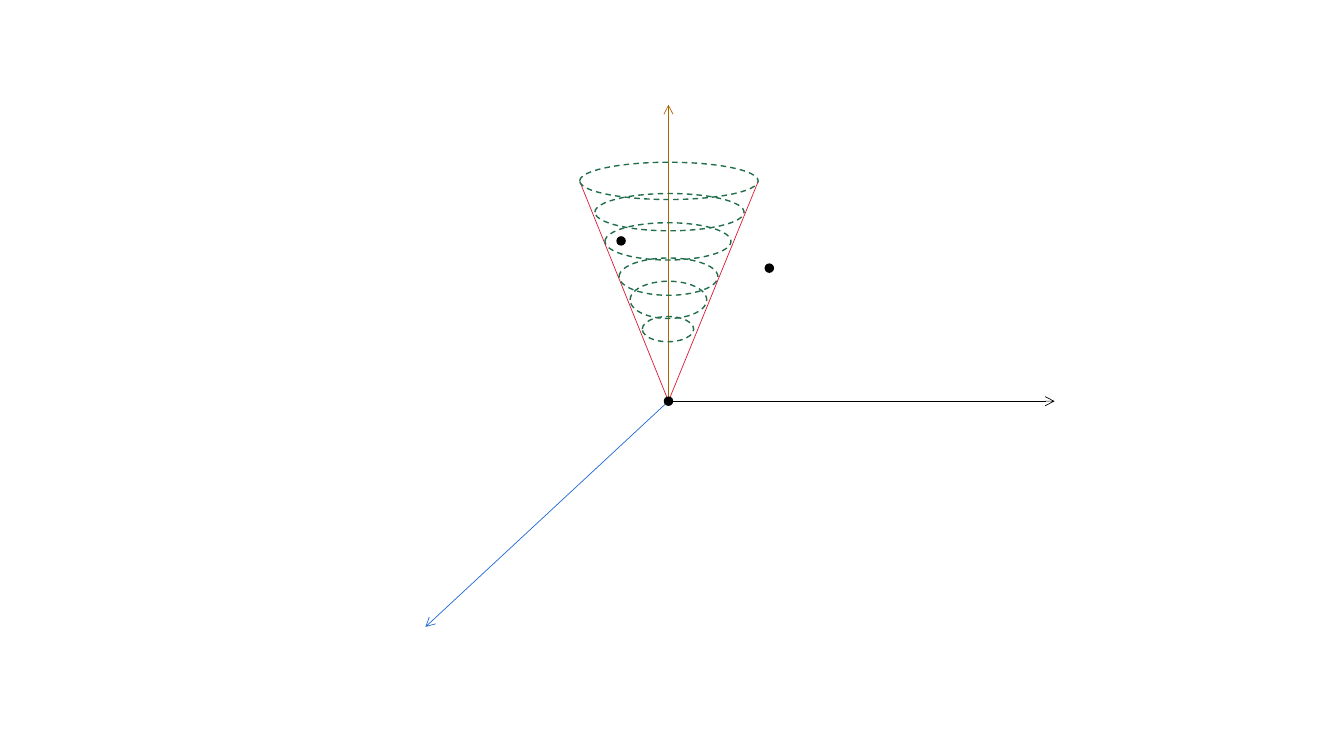
"""Build a slide with a dashed cone on three coordinate axes and three points."""
from lxml import etree
from pptx import Presentation
from pptx import util as u
from pptx.dml.color import RGBColor
from pptx.enum import dml, shapes
from pptx.oxml import ns

PX = u.Inches(1) // 100
BLACK = RGBColor(0x00, 0x00, 0x00)
GREEN = RGBColor(0x22, 0x6E, 0x4B)
ORANGE = RGBColor(0xAA, 0x65, 0x00)
BLUE = RGBColor(0x21, 0x69, 0xD3)
RED = RGBColor(0xDE, 0x1A, 0x37)
ORIGIN = (663, 398)
DOT = 8


def draw_line(page, end, color, arrow=False):
    """Draw a thin line from the origin to the end point."""
    points = [value * PX for value in (*ORIGIN, *end)]
    line = page.shapes.add_connector(shapes.MSO_CONNECTOR.STRAIGHT, *points)
    line.line.color.rgb = color
    line.line.width = u.Pt(0.5)
    if arrow:
        etree.SubElement(line.line._get_or_add_ln(), ns.qn("a:tailEnd"), type="arrow")
    etree.SubElement(line._element.spPr, ns.qn("a:effectLst"))


def draw_ellipse(page, left, top, width, height, color, filled=False):
    """Draw a solid dot or a dashed ring."""
    area = [value * PX for value in (left, top, width, height)]
    ellipse = page.shapes.add_shape(shapes.MSO_SHAPE.OVAL, *area)
    ellipse.shadow.inherit = False
    ellipse.line.color.rgb = color
    ellipse.line.width = u.Pt(1)
    if filled:
        ellipse.fill.solid()
        ellipse.fill.fore_color.rgb = color
    else:
        ellipse.fill.background()
        ellipse.line.dash_style = dml.MSO_LINE.DASH


deck = Presentation()
deck.slide_width = u.Inches(13.33)
deck.slide_height = u.Inches(7.5)
page = deck.slides.add_slide(deck.slide_layouts[6])

for end, color in [((1046, 398), BLACK), ((663, 104), ORANGE), ((422, 622), BLUE)]:
    draw_line(page, end, color, arrow=True)

for end in [(575, 180), (752, 180)]:
    draw_line(page, end, RED)

rings = [
    (637, 314, 51, 25),
    (625, 279, 76, 37),
    (614, 256, 98, 37),
    (600, 221, 125, 37),
    (590, 192, 148, 37),
    (575, 161, 177, 37),
]
for ring in rings:
    draw_ellipse(page, *ring, GREEN)

for x, y in [ORIGIN, (763, 266), (616, 239)]:
    draw_ellipse(page, x - DOT // 2, y - DOT // 2, DOT, DOT, BLACK, filled=True)

deck.save("out.pptx")
